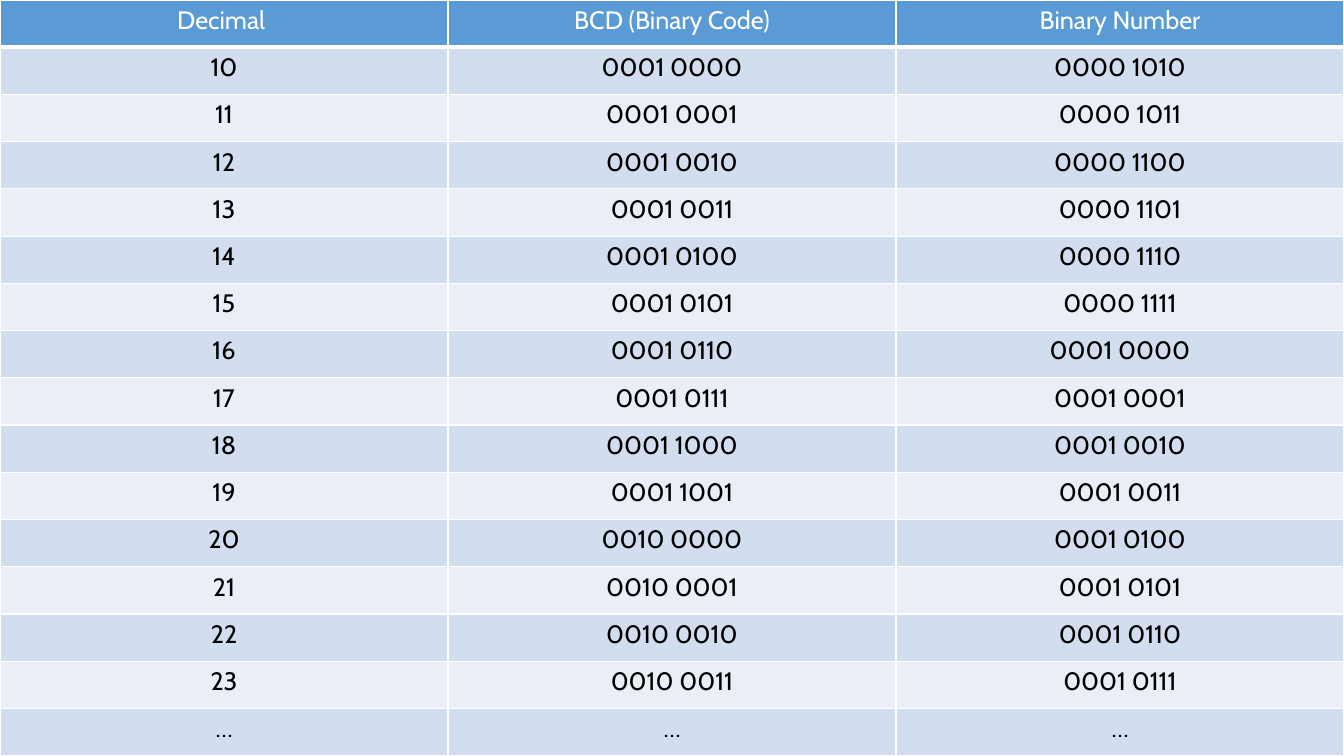
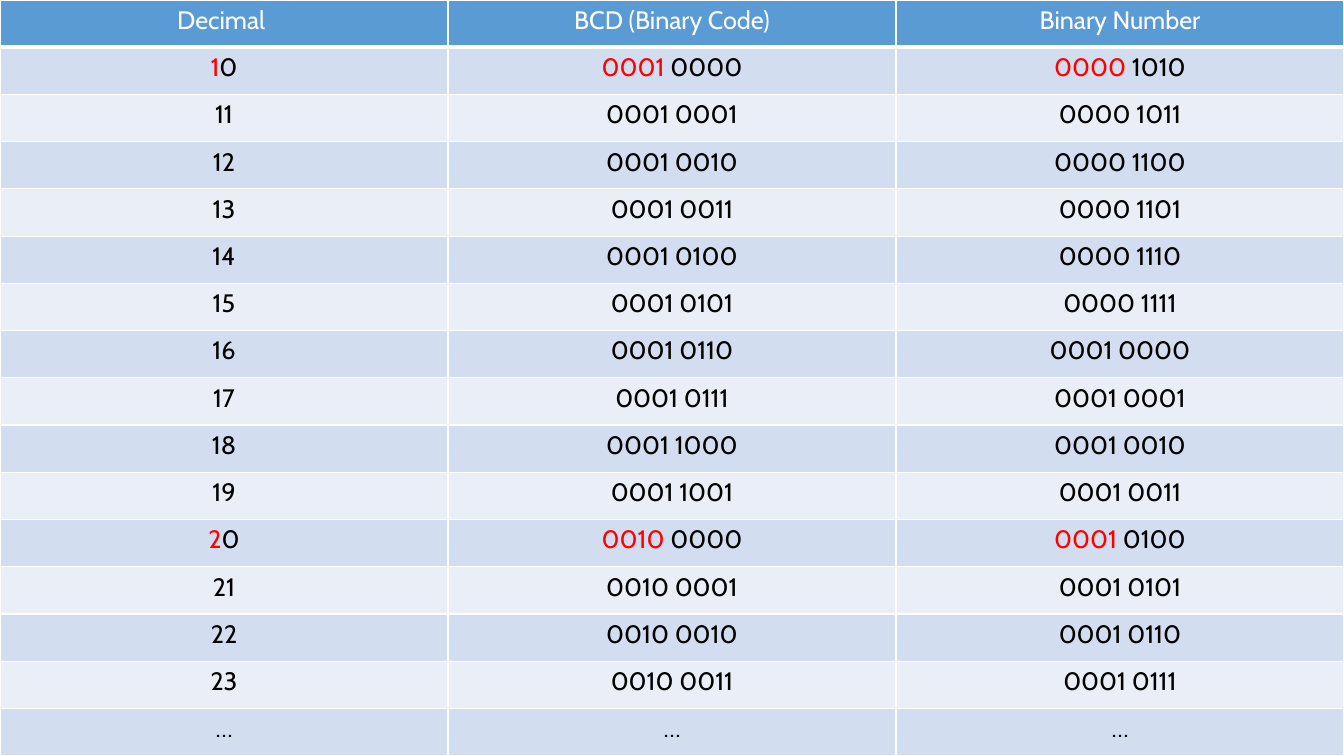
from dataclasses import dataclass

from lxml.etree import SubElement
from pptx import Presentation
from pptx.dml.color import RGBColor
from pptx.enum.text import PP_ALIGN
from pptx.oxml.ns import qn
from pptx.util import Inches, Pt


@dataclass(frozen=True)
class Theme:
    font: str = "Cabin"
    text_size: int = 18
    header_fill: str = "5B9BD5"
    band_fills: tuple = ("D2DEEF", "EAEFF7")
    header_text: str = "FFFFFF"
    body_text: str = "000000"
    highlight: str = "FF0000"
    border: str = "FFFFFF"
    border_width: int = 1
    header_rule_width: int = 3


THEME = Theme()
SLIDE_WIDTH, SLIDE_HEIGHT = Inches(13.33), Inches(7.5)
HEADERS = ("Decimal ", "BCD (Binary Code)", "Binary Number")
NUMBERS = range(10, 24)
HIGHLIGHTED_NUMBERS = (10, 20)


# Content
def number_row(number):
    """Return a number in decimal, BCD and binary, the codes in groups of four bits."""
    tens, units = divmod(number, 10)
    high, low = divmod(number, 16)
    return str(number), f"{tens:04b} {units:04b}", f"{high:04b} {low:04b}"


# Cell parts
def set_borders(cell, top_width, bottom_width):
    """Draw the four cell borders; they must come before the fill in the XML."""
    properties = cell._tc.get_or_add_tcPr()
    side = THEME.border_width
    for tag, width in (("a:lnL", side), ("a:lnR", side),
                       ("a:lnT", top_width), ("a:lnB", bottom_width)):
        line = SubElement(properties, qn(tag), w=str(Pt(width)))
        fill = SubElement(line, qn("a:solidFill"))
        SubElement(fill, qn("a:srgbClr"), val=THEME.border)


def add_run(paragraph, text, color):
    run = paragraph.add_run()
    run.text = text
    run.font.color.rgb = RGBColor.from_string(color)


def fill_cell(cell, text, row_index, highlighted):
    # Borders and fill
    thin, thick = THEME.border_width, THEME.header_rule_width
    is_header = row_index == 0
    set_borders(cell, thick if row_index == 1 else thin, thick if is_header else thin)
    fill = THEME.header_fill if is_header else THEME.band_fills[(row_index - 1) % 2]
    cell.fill.solid()
    cell.fill.fore_color.rgb = RGBColor.from_string(fill)

    # Text, with the leading digit or bit group picked out when highlighted
    paragraph = cell.text_frame.paragraphs[0]
    paragraph.alignment = PP_ALIGN.CENTER
    paragraph.font.name = THEME.font
    paragraph.font.size = Pt(THEME.text_size)
    split = len(text) // 2 if highlighted else 0
    if split:
        add_run(paragraph, text[:split], THEME.highlight)
    add_run(paragraph, text[split:], THEME.header_text if is_header else THEME.body_text)


# Slide
def add_code_slide(presentation, highlighted_numbers=()):
    slide = presentation.slides.add_slide(presentation.slide_layouts[6])
    rows = [HEADERS, *map(number_row, NUMBERS), ("…",) * len(HEADERS)]
    highlighted_rows = [number_row(number) for number in highlighted_numbers]
    table = slide.shapes.add_table(
        len(rows), len(HEADERS), 0, 0, SLIDE_WIDTH, SLIDE_HEIGHT).table
    table.first_row = table.horz_banding = False
    for row_index, row in enumerate(rows):
        for column_index, text in enumerate(row):
            fill_cell(table.cell(row_index, column_index), text, row_index,
                      row in highlighted_rows)


def main():
    presentation = Presentation()
    presentation.slide_width, presentation.slide_height = SLIDE_WIDTH, SLIDE_HEIGHT
    add_code_slide(presentation)
    add_code_slide(presentation, HIGHLIGHTED_NUMBERS)
    presentation.save("out.pptx")


if __name__ == "__main__":
    main()
